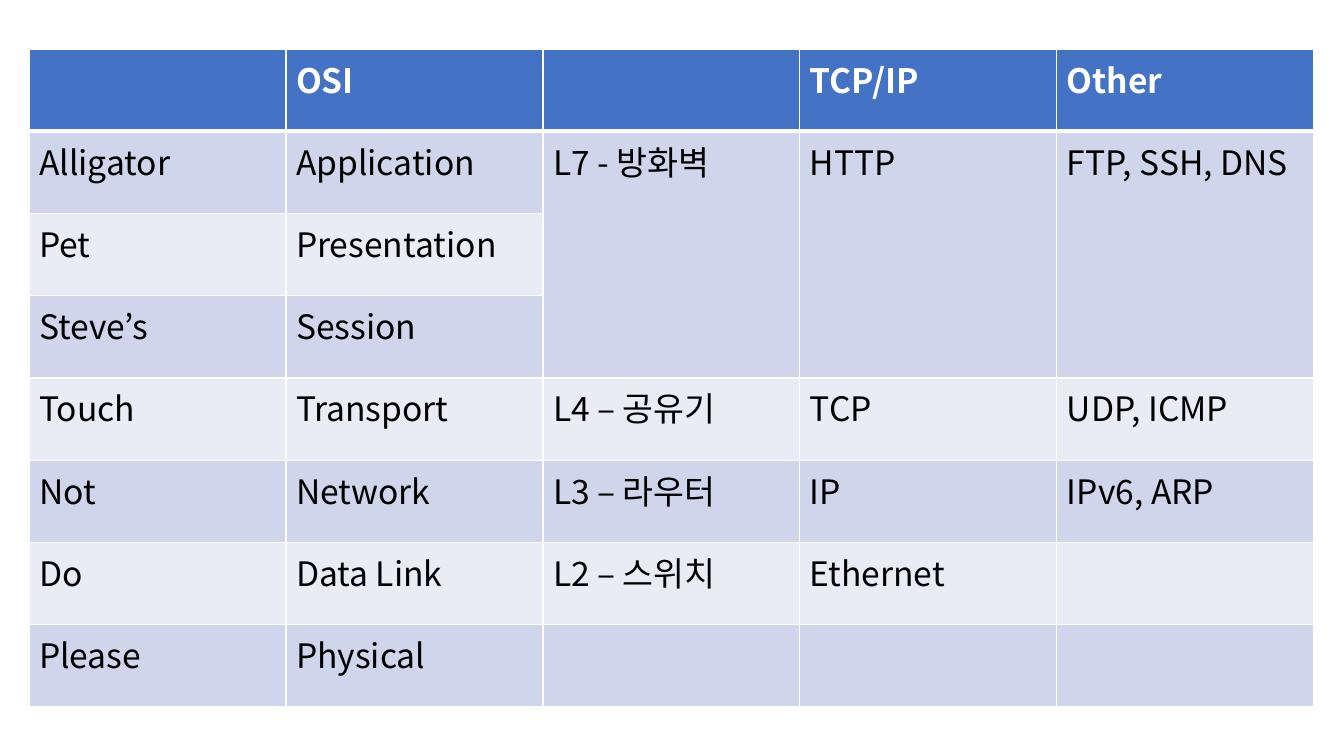
from lxml.etree import SubElement
from pptx import Presentation
from pptx.dml.color import RGBColor
from pptx.oxml.ns import qn
from pptx.util import Pt

FONT = "Noto Sans CJK KR"
HEAD, DARK, LIGHT = "4472C4", "CFD5EA", "E9EBF5"
WHITE, BLACK = "FFFFFF", "000000"
ROWS = [
    ["", "OSI", "", "TCP/IP", "Other"],
    ["Alligator", "Application", "L7 - 방화벽", "HTTP", "FTP, SSH, DNS"],
    ["Pet", "Presentation", "", "", ""],
    ["Steve’s", "Session", "", "", ""],
    ["Touch", "Transport", "L4 – 공유기", "TCP", "UDP, ICMP"],
    ["Not", "Network", "L3 – 라우터", "IP", "IPv6, ARP"],
    ["Do", "Data Link", "L2 – 스위치", "Ethernet", ""],
    ["Please", "Physical", "", "", ""],
]
MERGED = (2, 3, 4)  # columns where the top three layers share one cell
LEFT, TOP, WIDTH, HEIGHT = 29, 49, 1285, 658


def px(n):
    return round(n * 914400 / 100.8)


def color(text):
    return RGBColor.from_string(text)


def border(cell, row):
    """Draw white edges, heavier on the line below the header."""
    props = cell._tc.get_or_add_tcPr()
    heavy = {0: "B", 1: "T"}.get(row)
    for side in "LRTB":
        line = SubElement(props, qn(f"a:ln{side}"), w=str(Pt(3 if side == heavy else 1)))
        fill = SubElement(line, qn("a:solidFill"))
        SubElement(fill, qn("a:srgbClr"), val=WHITE)


def write(cell, text, head):
    run = cell.text_frame.paragraphs[0].add_run()
    run.text = text
    font = run.font
    font.name, font.size, font.bold = FONT, Pt(24), head
    font.color.rgb = color(WHITE if head else BLACK)
    SubElement(font._element, qn("a:ea"), typeface=FONT)


def main():
    deck = Presentation()
    deck.slide_width, deck.slide_height = px(1344), px(756)
    slide = deck.slides.add_slide(deck.slide_layouts[6])
    frame = slide.shapes.add_table(len(ROWS), len(ROWS[0]), px(LEFT), px(TOP),
                                   px(WIDTH), px(HEIGHT))
    table = frame.table
    table.horz_banding = False
    for r, row in enumerate(ROWS):
        shade = HEAD if r == 0 else DARK if r % 2 else LIGHT
        for c, text in enumerate(row):
            cell = table.cell(r, c)
            border(cell, r)
            cell.fill.solid()
            cell.fill.fore_color.rgb = color(shade)
            if text:
                write(cell, text, r == 0)
    for c in MERGED:
        table.cell(1, c).merge(table.cell(3, c))
    deck.save("out.pptx")


if __name__ == "__main__":
    main()
